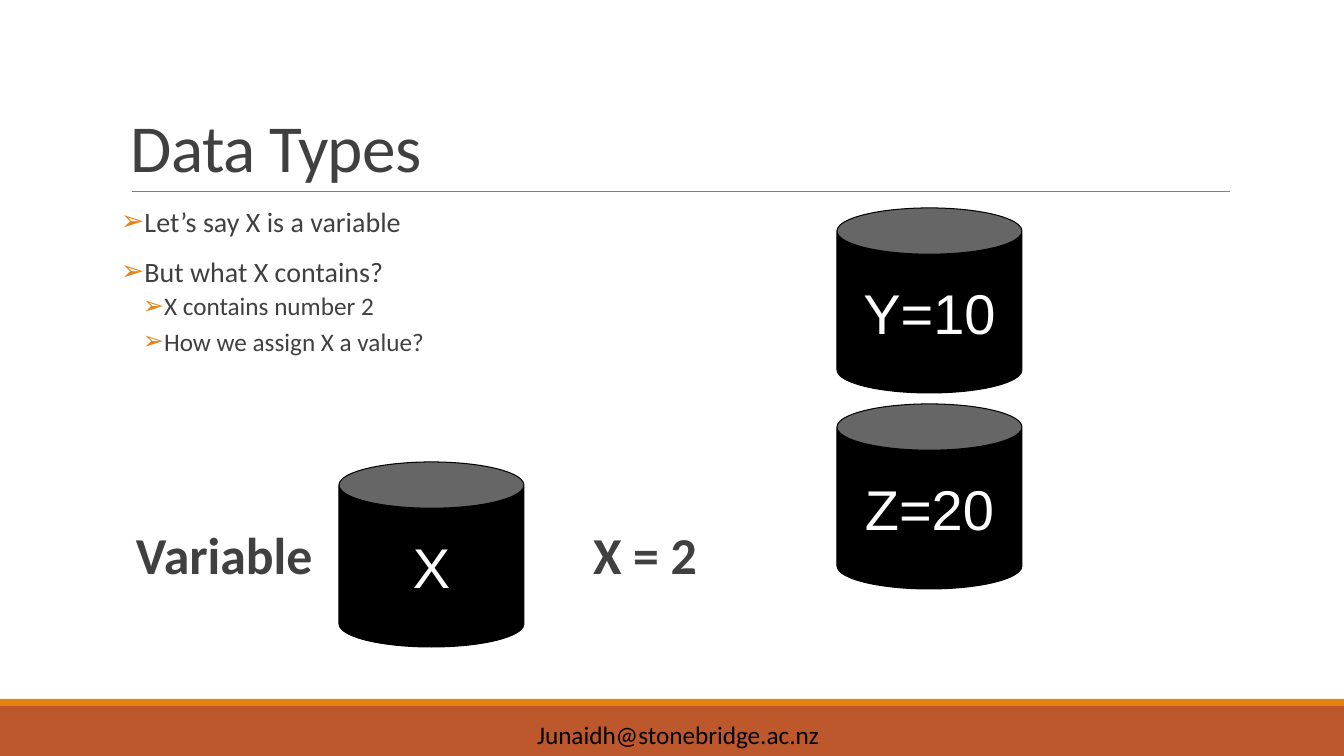
from lxml import etree
from pptx import Presentation
from pptx import util as u
from pptx.dml.color import RGBColor
from pptx.enum import shapes, text
from pptx.oxml.ns import qn

PX = 12192000 / 1344
COLORS = {
    "rust": "BD582C",
    "orange": "E48312",
    "rule": "808080",
    "ink": "404040",
    "black": "000000",
    "white": "FFFFFF",
}
CAN_SIZE = 185


def px(length):
    return u.Emu(round(length * PX))


def color(name):
    return RGBColor.from_string(COLORS[name])


def set_bullet(para):
    props = para._p.get_or_add_pPr()
    tint = etree.SubElement(props, qn("a:buClr"))
    etree.SubElement(tint, qn("a:srgbClr"), val=COLORS["orange"])
    etree.SubElement(props, qn("a:buFont"), typeface="Calibri")
    etree.SubElement(props, qn("a:buChar"), char="➢")


def write(para, words, *, size, font="Calibri", ink="ink", bold=False, align=None,
          line=None, before=0, after=0, margin=0, hang=0, tracking=None, bullet=False):
    """Add one formatted run to a paragraph."""
    para.alignment = align
    para.line_spacing = line
    para.space_before, para.space_after = u.Pt(before), u.Pt(after)
    props = para._p.get_or_add_pPr()
    props.set("marL", str(px(margin)))
    props.set("indent", str(-px(hang)))
    if bullet:
        set_bullet(para)
    span = para.add_run()
    span.text = words
    span.font.size, span.font.name, span.font.bold = u.Pt(size), font, bold
    span.font.color.rgb = color(ink)
    if tracking is not None:
        span._r.get_or_add_rPr().set("spc", str(tracking))


def add_box(page, left, top, width, height, *, side=10,
            anchor=text.MSO_ANCHOR.TOP):
    box = page.shapes.add_textbox(px(left), px(top), px(width), px(height))
    frame = box.text_frame
    frame.word_wrap = True
    frame.vertical_anchor = anchor
    frame.margin_left = frame.margin_right = px(side)
    frame.margin_top = frame.margin_bottom = px(5)
    return frame


def add_solid(page, kind, left, top, width, height, fill):
    solid = page.shapes.add_shape(kind, px(left), px(top), px(width), px(height))
    solid.shadow.inherit = False
    solid.fill.solid()
    solid.fill.fore_color.rgb = color(fill)
    solid.line.fill.background()
    return solid


def add_can(page, left, top, label):
    can = add_solid(page, shapes.MSO_SHAPE.CAN, left, top, CAN_SIZE, CAN_SIZE, "black")
    can.adjustments[0] = 0.25
    can.line.color.rgb = color("black")
    can.line.width = u.Pt(0.75)
    can.text_frame.word_wrap = False
    can.text_frame.vertical_anchor = text.MSO_ANCHOR.MIDDLE
    write(can.text_frame.paragraphs[0], label, size=40, font="Arial", ink="white",
          align=text.PP_ALIGN.CENTER)


def add_caption(page, left, words):
    frame = add_box(page, left, 530, 206, 65, side=0)
    write(frame.paragraphs[0], words, size=37, bold=True, line=0.8,
          before=12, after=2, margin=10, hang=10)


def add_rule(page, left, right, y):
    rule = page.shapes.add_connector(shapes.MSO_CONNECTOR.STRAIGHT,
                                     px(left), px(y), px(right), px(y))
    rule.line.color.rgb = color("rule")
    rule.line.width = u.Pt(0.5)
    etree.SubElement(rule._element.spPr, qn("a:effectLst"))


def add_points(page, points):
    frame = add_box(page, 121, 203, 1109, 444, side=0)
    formats = [
        dict(size=20, before=12, after=2, margin=10, hang=10),
        dict(size=18, before=2, after=4, margin=42, hang=20),
    ]
    for index, (level, words) in enumerate(points):
        para = frame.add_paragraph() if index else frame.paragraphs[0]
        para.level = level
        write(para, words, line=0.9, bullet=True, **formats[level])


def main():
    deck = Presentation()
    deck.slide_width, deck.slide_height = px(1344), px(756)
    page = deck.slides.add_slide(deck.slide_layouts[6])

    # Footer bands and title rule
    add_solid(page, shapes.MSO_SHAPE.RECTANGLE, 0, 706, 1344, 50, "rust")
    add_solid(page, shapes.MSO_SHAPE.RECTANGLE, 0, 699, 1344, 7, "orange")
    add_rule(page, 132, 1230, 191)

    # Title and bullet points
    title = add_box(page, 121, 31, 1109, 160, anchor=text.MSO_ANCHOR.BOTTOM)
    write(title.paragraphs[0], "Data Types", size=48, line=0.85, tracking=-50)
    add_points(page, [
        (0, "Let’s say X is a variable"),
        (0, "But what X contains?"),
        (1, "X contains number 2"),
        (1, "How we assign X a value?"),
    ])

    # Variables and their values
    add_caption(page, 136, "Variable")
    add_caption(page, 593, "X = 2")
    for left, top, label in [(339, 462, "X"), (837, 208, "Y=10"), (837, 404, "Z=20")]:
        add_can(page, left, top, label)

    # Contact address, with room for its full width on one line
    contact = add_box(page, 527, 714, 360, 40)
    write(contact.paragraphs[0], "Junaidh@stonebridge.ac.nz", size=18, ink="black")

    deck.save("out.pptx")


if __name__ == "__main__":
    main()
